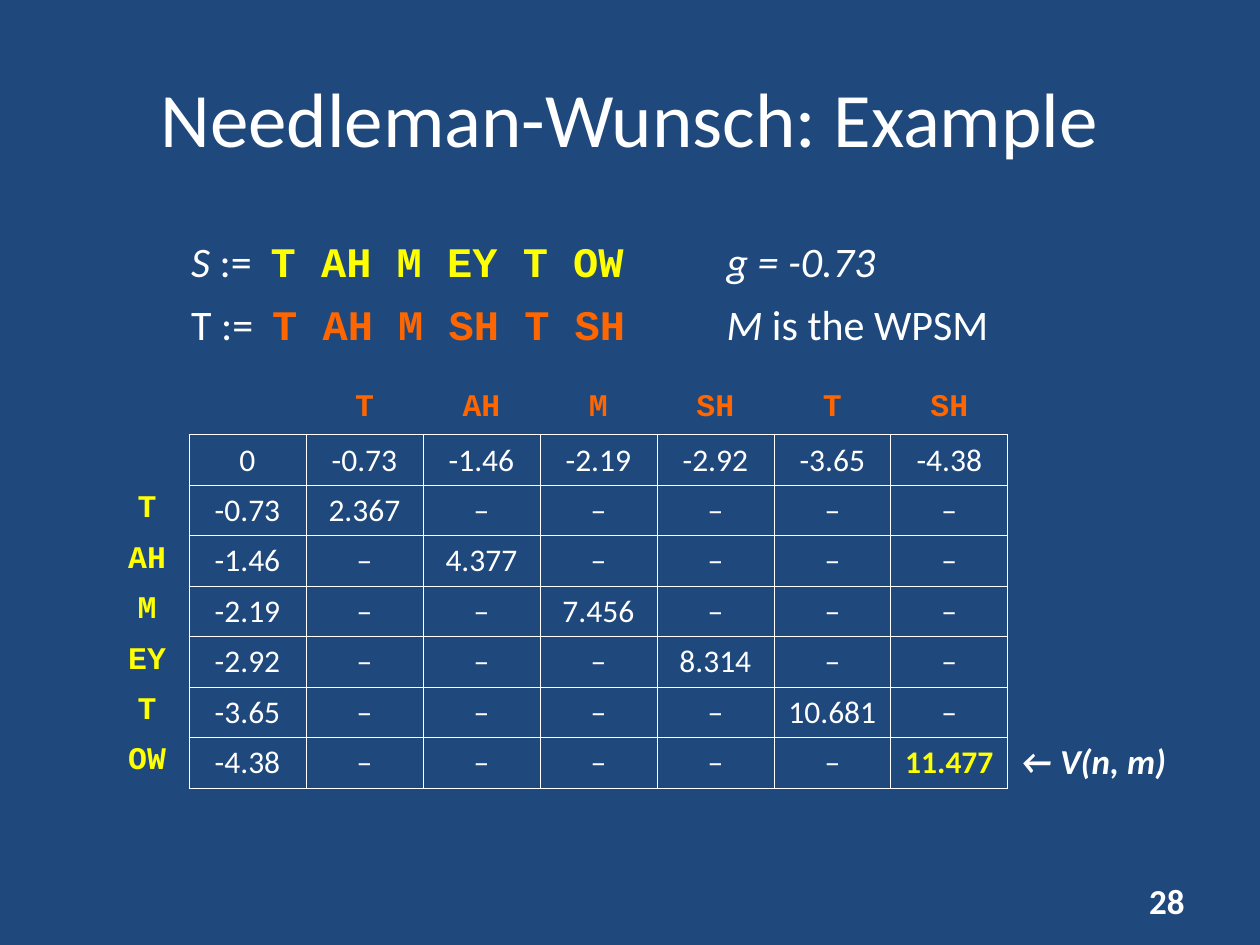
from dataclasses import dataclass

from lxml.etree import SubElement
from pptx import Presentation
from pptx.dml.color import RGBColor as RGB
from pptx.enum.text import MSO_ANCHOR as Anchor, PP_ALIGN as Align
from pptx.oxml.ns import qn
from pptx.util import Pt


@dataclass(frozen=True)
class Theme:
    background: str = "1F497D"
    text: str = "FFFFFF"
    source: str = "FFFF00"
    target: str = "FF6600"
    sans: str = "Calibri"
    mono: str = "Courier New"
    title: int = 44
    definition: int = 24
    note: int = 20
    score: int = 18
    border: float = 0.45


THEME = Theme()
PLAIN_TABLE = "{2D5ABB26-0587-4C30-8999-92F81FD0307C}"
SOURCE = "T AH M EY T OW"
TARGET = "T AH M SH T SH"
GAP = -0.73
MATCHES = ["2.367", "4.377", "7.456", "8.314", "10.681", "11.477"]


def style(font, size, color=THEME.text, face=THEME.sans, bold=False, italic=False):
    font.size, font.name = Pt(size), face
    font.bold, font.italic = bold, italic
    font.color.rgb = RGB.from_string(color)


def write(frame, text, size, align=Align.LEFT, **look):
    paragraph = frame.paragraphs[0]
    paragraph.text = text
    paragraph.alignment = align
    style(paragraph.font, size, **look)


def place(shape, left, top, width, height):
    shape.left, shape.top = Pt(left), Pt(top)
    shape.width, shape.height = Pt(width), Pt(height)


def add_title(slide, text):
    title = slide.shapes.title
    place(title, 36, 21.6, 648, 90)
    title.text_frame.vertical_anchor = Anchor.MIDDLE
    write(title.text_frame, text, THEME.title, Align.CENTER)


def add_note(slide, text, box, anchor, **look):
    frame = slide.shapes.add_textbox(*map(Pt, box)).text_frame
    frame.word_wrap = True
    frame.vertical_anchor = anchor
    write(frame, text, THEME.note, bold=True, **look)


def add_plain_table(slide, left, top, widths, row_height, row_count):
    graphic = slide.shapes.add_table(
        row_count, len(widths), Pt(left), Pt(top),
        Pt(sum(widths)), Pt(row_height * row_count))
    table = graphic.table
    table.first_row = table.horz_banding = False
    graphic._element.find(".//" + qn("a:tableStyleId")).text = PLAIN_TABLE
    for column, width in zip(table.columns, widths):
        column.width = Pt(width)
    for row in table.rows:
        row.height = Pt(row_height)
    return table


def draw_borders(cell, sides):
    properties = cell._tc.get_or_add_tcPr()
    for side in sides:
        line = SubElement(properties, qn(f"a:ln{side}"), w=str(Pt(THEME.border)))
        fill = SubElement(line, qn("a:solidFill"))
        SubElement(fill, qn("a:srgbClr"), val=THEME.text)


def add_definitions(slide):
    sans, italic = {}, {"italic": True}
    source = {"face": THEME.mono, "color": THEME.source, "bold": True}
    target = {**source, "color": THEME.target}
    rows = [
        [[("S", italic), (" :=  ", sans), (SOURCE, source)],
         [("g = -0.73", italic)]],
        [[("T :=  ", sans), (TARGET, target)],
         [("M", italic), (" is the WPSM", sans)]],
    ]
    table = add_plain_table(slide, 102, 132, [306, 174], 36, len(rows))
    for row, cells in enumerate(rows):
        for column, pieces in enumerate(cells):
            cell = table.cell(row, column)
            cell.vertical_anchor = Anchor.MIDDLE
            cell.fill.background()
            for text, look in pieces:
                run = cell.text_frame.paragraphs[0].add_run()
                run.text = text
                style(run.font, THEME.definition, **look)


def score_at(row, column):
    if 0 in (row, column):
        steps = row + column
        return f"{GAP * steps:.2f}" if steps else "0"
    return MATCHES[row - 1] if row == column else "–"


def add_alignment_matrix(slide):
    sources, targets = SOURCE.split(), TARGET.split()
    row_labels, column_labels = ["", "", *sources], ["", "", *targets]
    label = {"face": THEME.mono, "bold": True}
    table = add_plain_table(
        slide, 60, 219.6, [48] + [66.86] * (len(targets) + 1), 28.8, len(row_labels))
    for row, source in enumerate(row_labels):
        for column, target in enumerate(column_labels):
            cell = table.cell(row, column)
            if row == 0:
                text, look, sides = target, {**label, "color": THEME.target}, "B" if column else ""
            elif column == 0:
                text, look, sides = source, {**label, "color": THEME.source}, "R"
            else:
                text, look, sides = score_at(row - 1, column - 1), {}, "LRTB"
                if text == MATCHES[-1]:
                    look = {"color": THEME.source, "bold": True}
            draw_borders(cell, sides)
            cell.fill.background()
            if text:
                write(cell.text_frame, text, THEME.score, Align.CENTER, **look)


def main():
    deck = Presentation()
    deck.slide_width, deck.slide_height = Pt(720), Pt(540)
    slide = deck.slides.add_slide(deck.slide_layouts[5])
    slide.background.fill.solid()
    slide.background.fill.fore_color.rgb = RGB.from_string(THEME.background)
    add_title(slide, "Needleman-Wunsch: Example")
    add_note(slide, "28", (516, 500.4, 168, 28.8), Anchor.MIDDLE, align=Align.RIGHT)
    add_alignment_matrix(slide)
    add_definitions(slide)
    add_note(slide, "← V(n, m)", (576, 419, 104, 31.5), Anchor.TOP, italic=True)
    deck.save("out.pptx")


if __name__ == "__main__":
    main()
